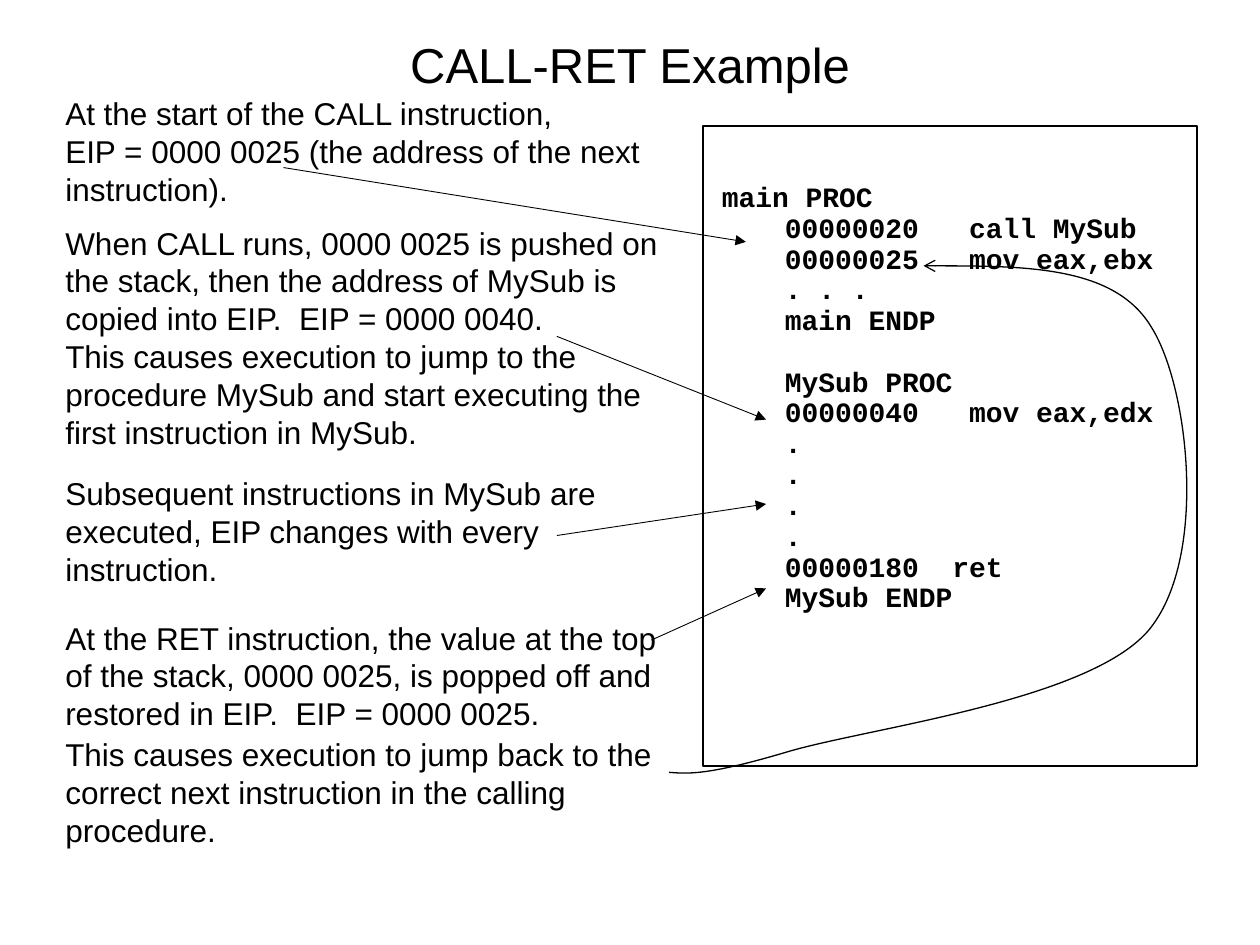
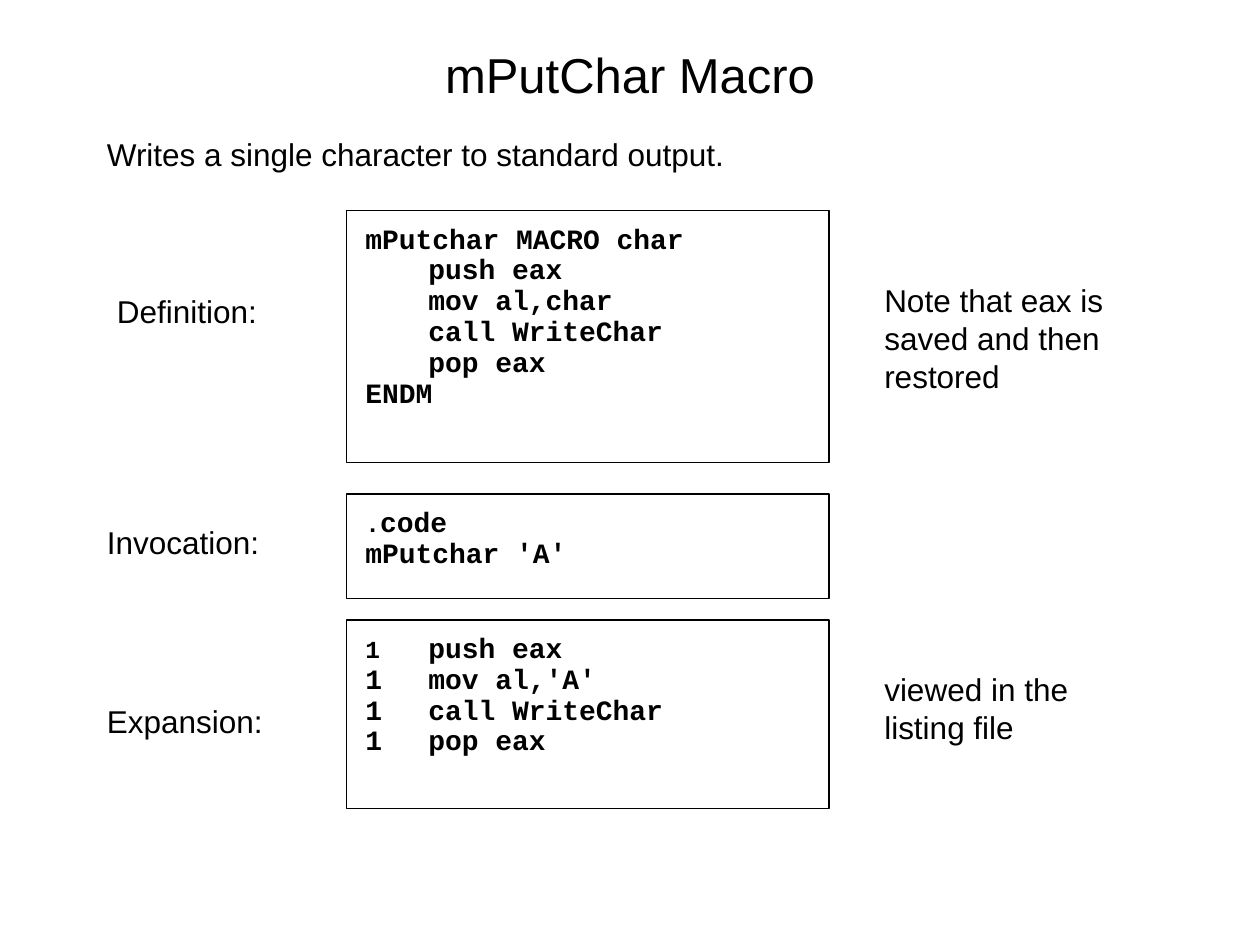
from lxml.etree import SubElement
from pptx import Presentation
from pptx.dml.color import RGBColor
from pptx.enum.shapes import MSO_CONNECTOR as CONN, MSO_SHAPE as SHAPE
from pptx.enum.text import MSO_ANCHOR as ANCHOR, MSO_AUTO_SIZE as AUTO, PP_ALIGN as ALIGN
from pptx.oxml.ns import qn
from pptx.util import Inches, Pt

# ---- Shared style ----
COLORS = {"ink": "000000", "paper": "FFFFFF"}
BODY, CODE = "Arial", "Courier New"
TITLE_SIZE, BODY_SIZE, CODE_SIZE, SMALL_SIZE = 28, 18, 16, 14
BODY_INSETS, CODE_INSETS = (0.1, 0.15, 0.1, 0.15), (0.15, 0.2, 0.15, 0.2)

# ---- Slide 1 content: (text, space before in points) ----
CALL_STEPS = [
    ("At the start of the CALL instruction,\nEIP = 0000 0025 (the address of the next instruction).", 0),
    ("When CALL runs, 0000 0025 is pushed on the stack, then the address of MySub "
     "is copied into EIP.  EIP = 0000 0040.", 9),
    ("This causes execution to jump to the procedure MySub and start executing "
     "the first instruction in MySub.", 0),
    ("Subsequent instructions in MySub are executed, EIP changes with every instruction.", 13.5),
    ("At the RET instruction, the value at the top of the stack, 0000 0025, "
     "is popped off and restored in EIP.  EIP = 0000 0025.", 17.8),
    ("This causes execution to jump back to the correct next instruction "
     "in the calling procedure.", 1.8),
]
MAIN_PROC = ["00000020   call MySub", "00000025   mov eax,ebx", ". . .", "main ENDP"]
MYSUB_PROC = ["MySub PROC", "00000040   mov eax,edx", ".", ".", ".", ".",
              "00000180  ret", "MySub ENDP"]
STEP_ARROWS = [  # from, to
    ((2.25, 1.33), (5.92, 1.92)),
    ((4.42, 2.67), (6.08, 3.33)),
    ((5.17, 5.08), (6.08, 4.67)),
    ((4.42, 4.25), (6.08, 4)),
]
RETURN_CURVE = [  # start, then three control points per Bezier segment
    (5.31, 6.13),
    (5.45, 6.14), (5.6, 6.16), (6.24, 5.97),
    (6.87, 5.78), (8.62, 5.57), (9.11, 5.01),
    (9.59, 4.45), (9.44, 3.08), (9.14, 2.6),
    (8.85, 2.11), (8.09, 2.11), (7.33, 2.11),
]

# ---- Slide 2 content ----
MACRO_BLOCKS = [  # top, height, first tab, small leading characters, code
    (1.67, 2, 0.5, 0, ["mPutchar MACRO char", "\tpush eax", "\tmov al,char",
                       "\tcall WriteChar", "\tpop eax", "ENDM"]),
    (3.92, 0.83, 0.5, 1, [".code", "mPutchar 'A'"]),
    (4.92, 1.5, 0.99, 1, ["1\tpush eax", "1\tmov al,'A'", "1\tcall WriteChar", "1\tpop eax"]),
]
MACRO_LABELS = [  # text, box
    ("Writes a single character to standard output.", (0.75, 0.92, 8.42, 0.6)),
    ("Definition:", (0.83, 2.17, 2.58, 0.6)),
    ("Invocation:", (0.75, 4, 2.58, 0.6)),
    ("Expansion:", (0.75, 5.42, 2.58, 0.6)),
    ("viewed in the listing file", (6.92, 5.17, 2, 0.9)),
    ("Note that eax is saved and then restored", (6.92, 2.08, 2, 1.2)),
]


def rgb(name):
    return RGBColor.from_string(COLORS[name])


def add_text(p, text, size=BODY_SIZE, font=BODY, bold=False, align=ALIGN.LEFT,
             before=0, spacing=None, indent=0, tabs=(), small=0):
    """Fill a paragraph; the first `small` characters get the small size."""
    pPr = p._p.get_or_add_pPr()
    pPr.set("marL", str(Inches(indent)))
    pPr.set("indent", "0")
    if tabs:
        tab_list = SubElement(pPr, qn("a:tabLst"))
        for pos in tabs:
            SubElement(tab_list, qn("a:tab"), pos=str(Inches(pos)), algn="l")
    p.alignment, p.space_before, p.line_spacing = align, Pt(before), spacing
    for i, line in enumerate(text.split("\n")):
        if i:
            p.add_line_break()
        for part, points in ((line[:small], SMALL_SIZE), (line[small:], size)):
            if part:
                r = p.add_run()
                r.text = part
                r.font.size, r.font.name, r.font.bold = Pt(points), font, bold
                r.font.color.rgb = rgb("ink")


def set_frame(tf, insets, anchor=ANCHOR.TOP, auto=AUTO.NONE):
    tf.word_wrap, tf.vertical_anchor, tf.auto_size = True, anchor, auto
    tf.margin_left, tf.margin_top, tf.margin_right, tf.margin_bottom = map(Inches, insets)


def add_paragraphs(tf, items):
    for i, (text, fmt) in enumerate(items):
        add_text(tf.paragraphs[0] if i == 0 else tf.add_paragraph(), text, **fmt)


def add_slide(prs, title, top):
    slide = prs.slides.add_slide(prs.slide_layouts[5])
    slide.background.fill.solid()
    slide.background.fill.fore_color.rgb = rgb("paper")
    sp = slide.shapes.title
    sp.left, sp.top, sp.width, sp.height = map(Inches, (0.75, top, 8.5, 0.67))
    set_frame(sp.text_frame, (0.1, 0.05, 0.1, 0.05), ANCHOR.MIDDLE)
    add_text(sp.text_frame.paragraphs[0], title, size=TITLE_SIZE, align=ALIGN.CENTER)
    return slide


def add_label(slide, box, steps, insets=BODY_INSETS):
    tf = slide.shapes.add_textbox(*map(Inches, box)).text_frame
    set_frame(tf, insets, auto=AUTO.SHAPE_TO_FIT_TEXT)
    add_paragraphs(tf, [(text, {"before": before}) for text, before in steps])


def add_code(slide, box, lines, insets=CODE_INSETS, tab=0.5):
    """Outlined code box; lines are (text, format) pairs."""
    sp = slide.shapes.add_shape(SHAPE.RECTANGLE, *map(Inches, box))
    sp.shadow.inherit = False
    sp.fill.background()
    sp.line.color.rgb, sp.line.width = rgb("ink"), Pt(0.75)
    set_frame(sp.text_frame, insets)
    style = {"size": CODE_SIZE, "font": CODE, "bold": True, "spacing": 0.5,
             "tabs": (tab, 4, 4.5)}
    add_paragraphs(sp.text_frame, [
        (text, {**style, "before": 8 if i else 0, **fmt}) for i, (text, fmt) in enumerate(lines)])


def style_arrow(sp, width, head):
    sp.line.color.rgb, sp.line.width = rgb("ink"), Pt(width)
    SubElement(sp.line._get_or_add_ln(), qn("a:tailEnd"), type=head)
    SubElement(sp._element.spPr, qn("a:effectLst"))


def add_arrow(slide, start, end):
    style_arrow(slide.shapes.add_connector(CONN.STRAIGHT, *map(Inches, start + end)),
                0.5, "triangle")


def add_curve(slide, points):
    """Open Bezier curve with an arrowhead at its end."""
    start, *rest = [tuple(map(Inches, pt)) for pt in points]
    builder = slide.shapes.build_freeform(*start, scale=1.0)
    builder.add_line_segments(rest, close=False)
    sp = builder.convert_to_shape()
    path = next(sp._element.iter(qn("a:path")))
    segments = path.findall(qn("a:lnTo"))
    for i in range(0, len(segments), 3):
        bezier = SubElement(path, qn("a:cubicBezTo"))
        for segment in segments[i:i + 3]:
            bezier.append(segment[0])
            path.remove(segment)
    sp.fill.background()
    style_arrow(sp, 0.75, "arrow")


def build_call_slide(prs):
    slide = add_slide(prs, "CALL-RET Example", 0.17)
    listing = [("main PROC", {})]
    listing += [(line, {"indent": 0.5}) for line in MAIN_PROC]
    # A wider gap separates the two procedures
    listing += [(line, {"indent": 0.5, "before": 8 if i else 25.5})
                for i, line in enumerate(MYSUB_PROC)]
    add_code(slide, (5.58, 1, 3.92, 5.08), listing, insets=(0.15, 0.54, 0.15, 0.2))
    add_label(slide, (0.42, 0.75, 5, 6.14), CALL_STEPS, insets=(0.1, 0, 0.1, 0.15))
    for start, end in STEP_ARROWS:
        add_arrow(slide, start, end)
    add_curve(slide, RETURN_CURVE)


def build_macro_slide(prs):
    slide = add_slide(prs, "mPutChar Macro", 0.25)
    for top, height, tab, small, code in MACRO_BLOCKS:
        lines = [(line, {"small": 0 if i else small}) for i, line in enumerate(code)]
        add_code(slide, (2.75, top, 3.83, height), lines, tab=tab)
    for text, box in MACRO_LABELS:
        add_label(slide, box, [(text, 0)])


def main():
    prs = Presentation()
    prs.slide_width, prs.slide_height = Inches(10), Inches(7.5)
    build_call_slide(prs)
    build_macro_slide(prs)
    prs.save("out.pptx")


if __name__ == "__main__":
    main()
